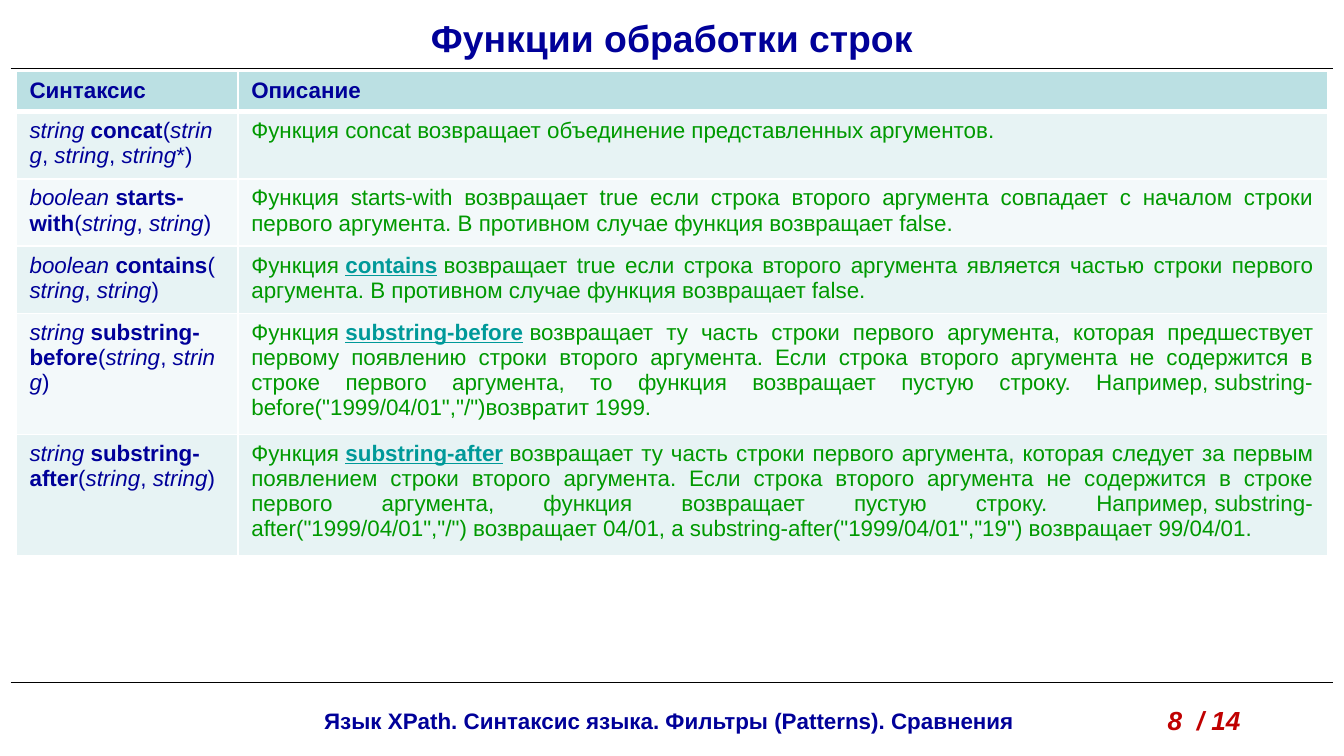
from lxml.etree import SubElement
from pptx import Presentation
from pptx.dml.color import RGBColor
from pptx.enum.shapes import MSO_CONNECTOR as Connector
from pptx.enum.text import MSO_ANCHOR as Anchor, PP_ALIGN as Align
from pptx.oxml import parse_xml
from pptx.oxml.ns import nsdecls, qn
from pptx.util import Inches, Pt

NAVY, GREEN, TEAL, RED = "000099", "009900", "009999", "C00000"
BLACK, WHITE = "000000", "FFFFFF"
HEADER_FILL, BAND_FILLS = "BBE0E3", ("E7F3F4", "F3F9FA")

# Return type, function name, arguments, closing mark, description.
# "~" is a no-break space; text between "|" marks is a linked name.
FUNCTIONS = [
    ("string", "concat", 3, "*)",
     "Функция concat возвращает объединение представленных аргументов."),
    ("boolean", "starts-with", 2, ")",
     "Функция starts-with возвращает true если строка второго аргумента совпадает "
     "с началом строки первого аргумента. В противном случае функция возвращает false."),
    ("boolean", "contains", 2, ")",
     "Функция~|contains|~возвращает true если строка второго аргумента является "
     "частью строки первого аргумента. В противном случае функция возвращает false."),
    ("string", "substring-before", 2, ")",
     "Функция~|substring-before|~возвращает ту часть строки первого аргумента, которая "
     "предшествует первому появлению строки второго аргумента. Если строка второго "
     "аргумента не содержится в строке первого аргумента, то функция возвращает пустую "
     'строку. Например,~substring-before("1999/04/01","/")возвратит~1999.'),
    ("string", "substring-after", 2, ")",
     "Функция~|substring-after|~возвращает ту часть строки первого аргумента, которая "
     "следует за первым появлением строки второго аргумента. Если строка второго "
     "аргумента не содержится в строке первого аргумента, функция возвращает пустую "
     'строку. Например,~substring-after("1999/04/01","/")~возвращает~04/01, '
     'а~substring-after("1999/04/01","19")~возвращает~99/04/01.'),
]
COLUMN_WIDTHS = (1.65, 8.11)
ROW_HEIGHTS = (0.3, 0.5, 0.5, 0.5, 0.9, 0.9)


def rgb(value):
    return RGBColor.from_string(value)


def signature_runs(returns, name, count, closing):
    runs = [(returns + "~", {"italic": True}), (name, {"bold": True}), ("(", {})]
    for index in range(count):
        if index:
            runs.append((",~", {}))
        runs.append(("string", {"italic": True}))
    return runs + [(closing, {})]


def description_runs(description):
    linked = {"bold": True, "underline": True, "color": TEAL}
    return [(part, linked if index % 2 else {})
            for index, part in enumerate(description.split("|"))]


class SlideBuilder:
    font_name = "Arial"

    def __init__(self, slide):
        self.slide = slide

    def style(self, paragraph, size, color, align=Align.LEFT, bold=None, italic=None):
        paragraph.alignment = align
        font = paragraph.font
        font.name, font.size = self.font_name, Pt(size)
        font.bold, font.italic = bold, italic
        font.color.rgb = rgb(color)

    def title(self, text, left, top, width, height):
        title = self.slide.shapes.title
        title.left, title.top = Inches(left), Inches(top)
        title.width, title.height = Inches(width), Inches(height)
        frame = title.text_frame
        frame.text = text
        frame.vertical_anchor = Anchor.TOP
        self.style(frame.paragraphs[0], 20, NAVY, Align.CENTER, bold=True)

    def label(self, text, left, top, width, height, **look):
        box = self.slide.shapes.add_textbox(
            Inches(left), Inches(top), Inches(width), Inches(height))
        frame = box.text_frame
        frame.word_wrap = True
        frame.text = text
        self.style(frame.paragraphs[0], **look)

    def rule(self, y):
        line = self.slide.shapes.add_connector(
            Connector.STRAIGHT, Inches(0.08), Inches(y), Inches(9.92), Inches(y))
        line.line.color.rgb = rgb(BLACK)
        line.line.width = Pt(0.75)
        SubElement(line._element.spPr, qn("a:effectLst"))

    def table(self, left, top, widths, heights):
        table = self.slide.shapes.add_table(
            len(heights), len(widths), Inches(left), Inches(top),
            Inches(sum(widths)), Inches(sum(heights))).table
        for column, width in zip(table.columns, widths):
            column.width = Inches(width)
        for row, height in zip(table.rows, heights):
            row.height = Inches(height)
        return table

    def cell(self, cell, runs, fill, color, align=Align.LEFT, bold=False, top=1, bottom=1):
        cell.fill.solid()
        cell.fill.fore_color.rgb = rgb(fill)
        paragraph = cell.text_frame.paragraphs[0]
        self.style(paragraph, 12, color, align, bold)
        for text, look in runs:
            run = paragraph.add_run()
            run.text = text.replace("~", chr(160))
            run.font.bold = look.get("bold", bold)
            run.font.italic = look.get("italic", False)
            run.font.underline = look.get("underline")
            run.font.color.rgb = rgb(look.get("color", color))
        # Borders come before the fill in the cell properties
        borders = (("L", 1), ("R", 1), ("T", top), ("B", bottom))
        for index, (side, width) in enumerate(borders):
            cell._tc.get_or_add_tcPr().insert(index, parse_xml(
                f'<a:ln{side} {nsdecls("a")} w="{Pt(width)}"><a:solidFill>'
                f'<a:srgbClr val="{WHITE}"/></a:solidFill></a:ln{side}>'))


def main():
    # A 16:9 slide, ten inches wide
    deck = Presentation()
    deck.slide_width = Inches(10)
    deck.slide_height = Inches(10 * 9 / 16)
    builder = SlideBuilder(deck.slides.add_slide(deck.slide_layouts[5]))

    # Title, rules and footer
    builder.title("Функции обработки строк", 0, 0.06, 10, 0.45)
    for y in (5.08, 0.51):
        builder.rule(y)
    builder.label("Язык XPath. Синтаксис языка. Фильтры (Patterns). Сравнения",
                  1.25, 5.21, 7.46, 0.3, size=12, color=NAVY, align=Align.CENTER, bold=True)
    builder.label("8  / 14", 8.59, 5.19, 1.02, 0.34, size=14, color=RED, bold=True, italic=True)

    # Table of string functions
    functions = builder.table(0.12, 0.53, COLUMN_WIDTHS, ROW_HEIGHTS)
    for column, heading in enumerate(("Синтаксис", "Описание")):
        builder.cell(functions.cell(0, column), [(heading, {})],
                     HEADER_FILL, NAVY, bold=True, bottom=3)
    for row, (*signature, description) in enumerate(FUNCTIONS, start=1):
        fill = BAND_FILLS[(row - 1) % 2]
        top = 3 if row == 1 else 1
        builder.cell(functions.cell(row, 0), signature_runs(*signature), fill, NAVY, top=top)
        builder.cell(functions.cell(row, 1), description_runs(description), fill, GREEN,
                     Align.JUSTIFY, top=top)

    deck.save("out.pptx")


if __name__ == "__main__":
    main()
